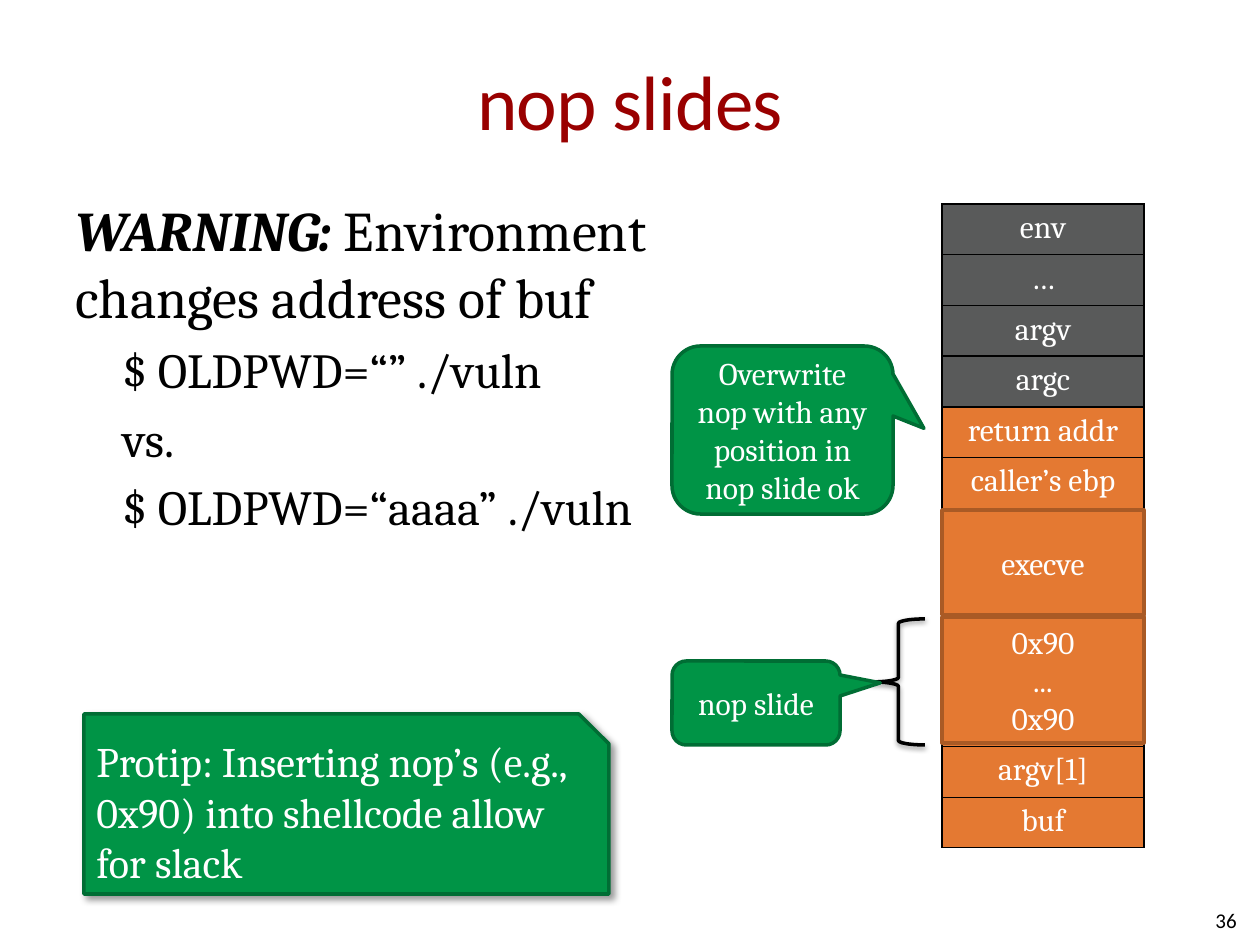
"""Build the slide on nop slides, with the stack layout drawn at the right."""
from dataclasses import dataclass

from lxml.etree import SubElement
from pptx import Presentation
from pptx.dml.color import RGBColor
from pptx.enum.shapes import MSO_SHAPE
from pptx.enum.text import MSO_ANCHOR, PP_ALIGN
from pptx.oxml.ns import qn
from pptx.util import Emu, Inches, Pt

PX = Inches(1) / 126


@dataclass(frozen=True)
class Theme:
    title: str = "990000"
    ink: str = "000000"
    paper: str = "FFFFFF"
    gray: str = "595A5A"
    orange: str = "E47932"
    orange_line: str = "A95A25"
    green: str = "009446"
    green_line: str = "006D34"
    head_font: str = "Calibri"
    text_font: str = "Cambria"
    title_pt: int = 44
    body_pt: int = 32
    command_pt: int = 28
    tip_pt: int = 24
    label_pt: int = 18
    number_pt: int = 12


T = Theme()
TITLE = "nop slides"
WARNING = ("WARNING:", " Environment changes address of buf")
COMMANDS = ["$ OLDPWD=“” ./vuln", "vs.", "$ OLDPWD=“aaaa” ./vuln"]
STACK_BOX = (942, 204, 202)
STACK = [
    ("env", 50, T.gray), ("…", 51, T.gray), ("argv", 50, T.gray), ("argc", 51, T.gray),
    ("return addr", 50, T.orange), ("caller’s ebp", 51, T.orange), ("", 238, T.orange),
    ("argv[1]", 51, T.orange), ("buf", 50, T.orange),
]
ORANGE = (T.orange, T.orange_line)
GREEN = (T.green, T.green_line)
CALLOUT = MSO_SHAPE.ROUNDED_RECTANGULAR_CALLOUT
LABELS = [
    (CALLOUT, (672, 346, 221, 168), GREEN,
     "Overwrite nop with any position in nop slide ok", (0.64, -0.01, 0.17)),
    (MSO_SHAPE.RECTANGLE, (942, 617, 202, 126), ORANGE, "0x90\n...\n0x90", ()),
    (MSO_SHAPE.LEFT_BRACE, (872, 619, 53, 126), (None, T.ink), "", ()),
    (CALLOUT, (672, 661, 168, 84), GREEN, "nop slide", (0.74, -0.24, 0.17)),
    (MSO_SHAPE.RECTANGLE, (942, 510, 202, 105), ORANGE, "execve", ()),
]
TIP = "Protip: Inserting nop’s (e.g., 0x90) into shellcode allow for slack"
NUMBER = "36"


def px(*lengths):
    return [Emu(round(n * PX)) for n in lengths]


def style(p, size, color, font=T.text_font, align=PP_ALIGN.LEFT):
    p.alignment = align
    for r in p.runs:
        r.font.size, r.font.name = Pt(size), font
        r.font.color.rgb = RGBColor.from_string(color)


def add_text_box(s, box, anchor=MSO_ANCHOR.TOP):
    tf = s.shapes.add_textbox(*px(*box)).text_frame
    tf.word_wrap = True
    tf.vertical_anchor = anchor
    return tf


def add_label(s, kind, box, colors, text, adjustments=(),
              size=T.label_pt, align=PP_ALIGN.CENTER):
    sp = s.shapes.add_shape(kind, *px(*box))
    sp.shadow.inherit = False
    for i, value in enumerate(adjustments):
        sp.adjustments[i] = value
    fill, line = colors
    if fill:
        sp.fill.solid()
        sp.fill.fore_color.rgb = RGBColor.from_string(fill)
    else:
        sp.fill.background()
    sp.line.color.rgb = RGBColor.from_string(line)
    sp.line.width = Pt(2)
    tf = sp.text_frame
    tf.word_wrap = True
    tf.vertical_anchor = MSO_ANCHOR.MIDDLE
    if text:
        tf.text = text
        for p in tf.paragraphs:
            style(p, size, T.paper, align=align)
    return sp


def add_shadow(sp, alpha, blur, distance, angle):
    effects = sp._element.spPr.find(qn("a:effectLst"))
    shadow = SubElement(effects, qn("a:outerShdw"), blurRad=str(Pt(blur)),
                        dist=str(Pt(distance)), dir=str(angle * 60000), rotWithShape="0")
    color = SubElement(shadow, qn("a:srgbClr"), val=T.ink)
    SubElement(color, qn("a:alpha"), val=str(alpha * 1000))


def fill_cell(cell, text, color):
    cell.text = text
    style(cell.text_frame.paragraphs[0], T.label_pt, T.paper, align=PP_ALIGN.CENTER)
    props = cell._tc.get_or_add_tcPr()
    for side in ("lnL", "lnR", "lnT", "lnB"):
        line = SubElement(props, qn(f"a:{side}"), w=str(Pt(1)))
        SubElement(SubElement(line, qn("a:solidFill")), qn("a:srgbClr"), val=T.ink)
    cell.fill.solid()
    cell.fill.fore_color.rgb = RGBColor.from_string(color)


def add_stack(s):
    left, top, width = STACK_BOX
    height = sum(h for _, h, _ in STACK)
    table = s.shapes.add_table(len(STACK), 1, *px(left, top, width, height)).table
    table.first_row = table.horz_banding = False
    for i, (text, h, color) in enumerate(STACK):
        table.rows[i].height = px(h)[0]
        fill_cell(table.cell(i, 0), text, color)


def add_title(s):
    title = s.shapes.title
    title.left, title.top, title.width, title.height = px(63, 21, 1134, 158)
    tf = title.text_frame
    tf.text = TITLE
    tf.vertical_anchor = MSO_ANCHOR.MIDDLE
    tf.margin_left = tf.margin_right = 0
    style(tf.paragraphs[0], T.title_pt, T.title, T.head_font, PP_ALIGN.CENTER)
    tf.paragraphs[0].runs[0].font._element.set("spc", "-50")


def add_body(s):
    tf = add_text_box(s, (63, 189, 609, 472))
    p = tf.paragraphs[0]
    for text in WARNING:
        p.add_run().text = text
    style(p, T.body_pt, T.ink)
    p.runs[0].font.bold = p.runs[0].font.italic = True
    for command in COMMANDS:
        p = tf.add_paragraph()
        p.text = command
        p.level = 1
        p._p.get_or_add_pPr().set("marL", str(px(47)[0]))
        p.space_before = Pt(5.6)
        style(p, T.command_pt, T.ink)


def main():
    prs = Presentation()
    prs.slide_width, prs.slide_height = px(1260, 945)
    s = prs.slides.add_slide(prs.slide_layouts[5])
    add_title(s)
    add_body(s)
    tf = add_text_box(s, (955, 895, 294, 50), MSO_ANCHOR.MIDDLE)
    tf.text = NUMBER
    style(tf.paragraphs[0], T.number_pt, T.ink, T.head_font, PP_ALIGN.RIGHT)
    add_stack(s)
    for label in LABELS:
        sp = add_label(s, *label)
        if label[0] == MSO_SHAPE.LEFT_BRACE:
            add_shadow(sp, 38, 3.1, 1.6, 90)
    tip = add_label(s, MSO_SHAPE.SNIP_1_RECTANGLE, (84, 714, 525, 180), GREEN, TIP,
                    size=T.tip_pt, align=PP_ALIGN.LEFT)
    add_shadow(tip, 40, 4, 3, 45)
    prs.save("out.pptx")


if __name__ == "__main__":
    main()
